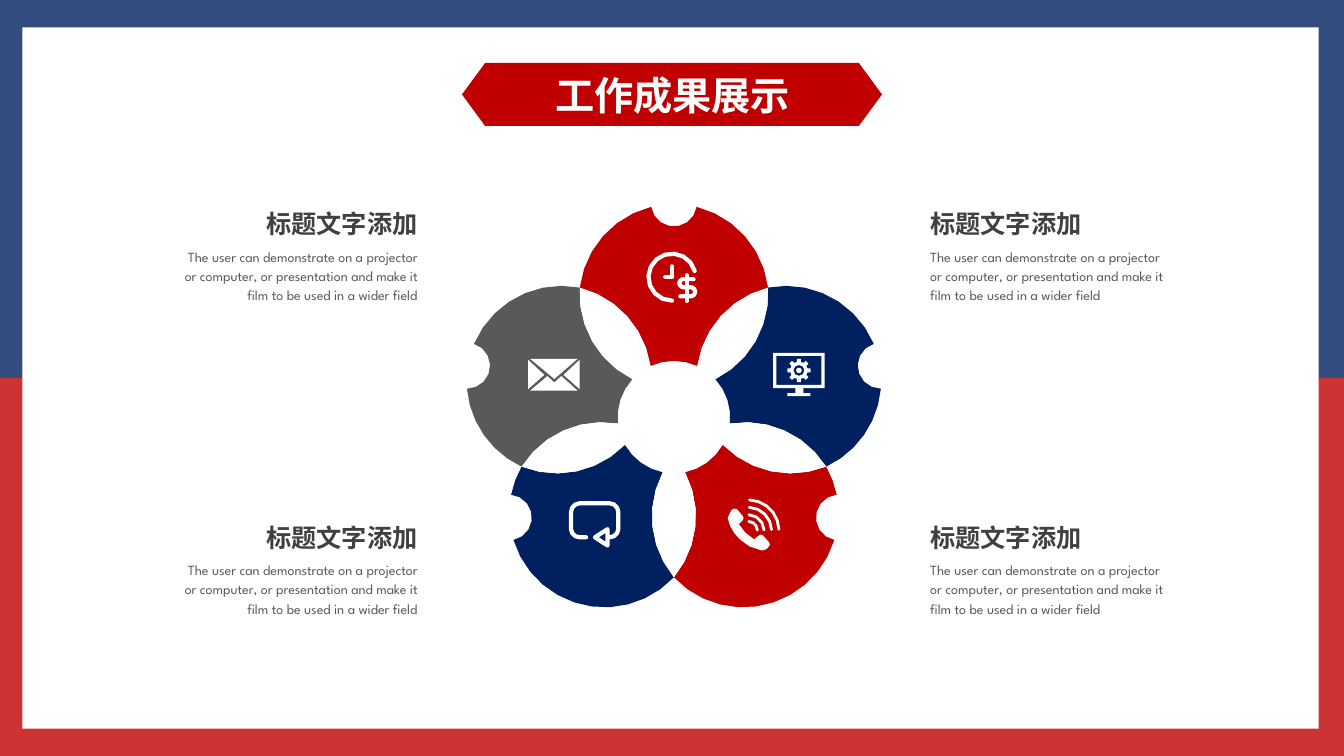
from dataclasses import dataclass
from itertools import groupby
from math import acos, asin, ceil, cos, hypot, radians, sin

from lxml import etree
from pptx import Presentation
from pptx.dml.color import RGBColor
from pptx.enum import shapes, text
from pptx.oxml.ns import qn
from pptx.util import Pt

Spot = tuple[float, float]
Path = list[Spot]


@dataclass(frozen=True)
class Theme:
    navy: str = "002060"
    red: str = "C00000"
    gray: str = "595959"
    dark: str = "404040"
    white: str = "FFFFFF"
    latin: str = "League Spartan"
    asian: str = "Noto Sans CJK SC"
    title: float = 28
    head: float = 18
    body: float = 10


@dataclass(frozen=True)
class Petal:
    color: str
    notch: float  # direction of the notch, degrees


@dataclass(frozen=True)
class Note:
    edge: float  # edge of the text next to the flower
    top: float
    right: bool  # right-aligned, to the left of the flower


T = Theme()
HEAD = "标题文字添加"
BODY = ("The user can demonstrate on a projector or computer, or presentation "
        "and make it film to be used in a wider field")
HUB: Spot = (481.4, 298)
REACH, ROUND, BITE, CORE = 84.2, 68, 16.4, 40.2  # petal offset, three radii
JOINT, CORNER = 114.4, 24.5  # where petals meet; half angle at the core
SLACK = 0.35  # largest gap between an arc and its chords

PETALS = [Petal(T.red, -90), Petal(T.navy, -9), Petal(T.red, 3),
          Petal(T.navy, 177), Petal(T.gray, 189)]
NOTES = [Note(657.4, 145.4, False), Note(657.4, 369.4, False),
         Note(305.3, 145.4, True), Note(305.3, 369.4, True)]

prs = Presentation()
prs.slide_width, prs.slide_height = Pt(960), Pt(540)
slide = prs.slides.add_slide(prs.slide_layouts[5])


# Geometry
def polar(mid: Spot, r: float, deg: float) -> Spot:
    return mid[0] + r * cos(radians(deg)), mid[1] + r * sin(radians(deg))


def steps(r: float, angle: float) -> int:
    return ceil(abs(angle) / 2 / acos(1 - SLACK / abs(r)))


def sweep(mid: Spot, r: float, start: float, end: float) -> Path:
    n = steps(r, radians(end - start))
    return [polar(mid, r, start + (end - start) * k / n) for k in range(n + 1)]


def bow(a: Spot, b: Spot, r: float) -> Path:
    """Arc from a to b; it swells to the left if r > 0, else to the right."""
    dx, dy = b[0] - a[0], b[1] - a[1]
    size = hypot(dx, dy)
    half = asin(size / 2 / r)
    n = steps(r, 2 * half)
    path = []
    for k in range(n + 1):
        turn = half * (2 * k / n - 1)
        run, out = r * sin(turn) / size, r * (cos(turn) - cos(half)) / size
        path.append(((a[0] + b[0]) / 2 + run * dx + out * dy,
                     (a[1] + b[1]) / 2 + run * dy - out * dx))
    return path


def box(x1: float, y1: float, x2: float, y2: float) -> Path:
    return [(x1, y1), (x2, y1), (x2, y2), (x1, y2)]


# Drawing
def paint(shape, color: str, alpha: int = 100) -> None:
    shape.shadow.inherit = False
    shape.fill.solid()
    shape.fill.fore_color.rgb = RGBColor.from_string(color)
    shape.line.fill.background()
    if alpha < 100:
        tint = shape.fill._xPr.find(qn("a:solidFill"))[0]
        etree.SubElement(tint, qn("a:alpha"), val=str(alpha * 1000))


def rect(x: float, y: float, w: float, h: float, color: str, alpha: int = 100) -> None:
    paint(slide.shapes.add_shape(shapes.MSO_SHAPE.RECTANGLE,
                                 Pt(x), Pt(y), Pt(w), Pt(h)), color, alpha)


def trace(paths: list[Path], close: bool = True):
    fine = [[spot for spot, _ in groupby((round(x * 100), round(y * 100)) for x, y in path)]
            for path in paths]
    pen = slide.shapes.build_freeform(*fine[0][0], scale=Pt(1) / 100)
    for k, path in enumerate(fine):
        if k:
            pen.move_to(*path[0])
        pen.add_line_segments(path[1:], close=close)
    return pen.convert_to_shape()


def solid(color: str, *paths: Path) -> None:
    paint(trace(list(paths)), color)


def stroke(width: float, *paths: Path) -> None:
    shape = trace(list(paths), close=False)
    shape.shadow.inherit = False
    shape.fill.background()
    shape.line.color.rgb = RGBColor.from_string(T.white)
    shape.line.width = Pt(width)
    line = shape.line._ln
    line.set("cap", "rnd")
    etree.SubElement(line, qn("a:round"))


def style(para, size: float, color: str, bold: bool, latin: str) -> None:
    font = para.font
    font.size, font.bold, font.name = Pt(size), bold, latin
    font.color.rgb = RGBColor.from_string(color)
    etree.SubElement(font._element, qn("a:ea"), typeface=T.asian)


def label(note: Note, drop: float, w: float, h: float, words: str,
          size: float, color: str, bold: bool, gap: float) -> None:
    left = note.edge - w if note.right else note.edge
    frame = slide.shapes.add_textbox(Pt(left), Pt(note.top + drop), Pt(w), Pt(h)).text_frame
    frame.word_wrap = True
    para = frame.paragraphs[0]
    para.text, para.line_spacing = words, gap
    para.alignment = text.PP_ALIGN.RIGHT if note.right else text.PP_ALIGN.LEFT
    style(para, size, color, bold, T.latin)


# Frame
rect(0, 0, 960, 270, T.navy, 80)
rect(0, 270, 960, 270, T.red, 80)
rect(16, 19.5, 926, 501, T.white)

# Flower: petals, then the lenses between them
for k, petal in enumerate(PETALS):
    axis = 72 * k - 90
    mid = polar(HUB, REACH, axis)
    first, last = (polar(HUB, JOINT, axis + d) for d in (-36, 36))
    bite, rise = (polar(mid, ROUND, petal.notch + d) for d in (-13.8, 13.8))
    near, far = (polar(HUB, CORE, axis + d) for d in (-CORNER, CORNER))
    solid(petal.color, bow(first, bite, ROUND) + bow(bite, rise, -BITE)
          + bow(rise, last, ROUND) + bow(last, far, -ROUND)
          + bow(far, near, -CORE) + bow(near, first, -ROUND))
for k in range(len(PETALS)):
    axis = 72 * k - 54
    tip = polar(HUB, JOINT, axis)
    one, two = (polar(HUB, CORE, axis + d) for d in (CORNER - 36, 36 - CORNER))
    solid(T.white, bow(tip, two, ROUND) + bow(two, one, -CORE) + bow(one, tip, ROUND))

# Clock and dollar sign
stroke(3, sweep((480, 198), 16.8, 90, 345),
       [(480.2, 190.3), (480.2, 198), (475.2, 198)],
       [(490.7, 196.6), (490.7, 215)],
       [(495.4, 199.4)] + bow((487.4, 199.4), (487.4, 205.2), -3)
       + bow((493.9, 205.2), (493.9, 211.7), 3.3) + [(486, 211.7)])

# Envelope
solid(T.white, [(378.7, 256.3), (412.6, 256.3), (396, 270.7)],
      [(377.3, 257), (388.8, 267.8), (377.3, 277.9)],
      [(414, 257), (414, 277.9), (402.5, 267.8)],
      [(391, 268.6), (396, 273.2), (401, 268.6), (412.6, 279), (378.7, 279)])

# Monitor with gear
COG: Spot = (570.7, 264.6)
teeth = [polar(COG, r, 45 * k + d) for k in range(8)
         for r, d in ((6.2, -14), (8.4, -9), (8.4, 9), (6.2, 14))]
solid(T.white, box(552.3, 252, 589.1, 277.2), box(554.6, 254.2, 586.8, 275),
      box(568.1, 277.2, 573.8, 280.8), box(562.5, 280.8, 578.9, 283),
      teeth, sweep(COG, 3.9, 0, 360), sweep(COG, 2.1, 0, 360))

# Telephone with sound waves
solid(T.white, bow((522.3, 364.6), (526.5, 363.7), 3) + bow((530.6, 368.6), (530.6, 371.5), 2)
      + bow((527.8, 374.4), (538.6, 385.2), -30) + bow((541.6, 382.9), (545, 382.3), 2.5)
      + bow((549.4, 387.4), (549.4, 390.2), 2) + bow((547.9, 391.9), (544, 393.1), 6)
      + bow((544, 393.1), (528.5, 385.2), 28) + bow((528.5, 385.2), (519.8, 370), 28))
stroke(2, *(sweep((534.6, 378.9), r, -88, -2) for r in (6.4, 11.2, 16.5, 21.8)))

# Speech bubble
stroke(3, [(418.7, 383.8)] + bow((414, 383.8), (407.9, 378), 6.1)
       + bow((407.9, 365.8), (414, 359.5), 6.3) + bow((435.6, 359.5), (441.7, 365.8), 6.3)
       + bow((441.7, 378), (435.6, 383.8), 6.1),
       [(434, 378), (425, 383.8), (434, 389.7), (434, 378)])

# Notes
for note in NOTES:
    label(note, 0, 168, 29, HEAD, T.head, T.dark, True, 1.0)
    label(note, 26.7, 185, 62.6, BODY, T.body, T.gray, False, 1.14)

# Title on its banner
solid(T.red, [(346.5, 45), (613.5, 45), (630, 67.5), (613.5, 90), (346.5, 90), (330, 67.5)])
title = slide.shapes.title
slide.shapes._spTree.append(title._element)
title.left, title.top, title.width, title.height = Pt(388), Pt(47), Pt(185), Pt(41)
frame = title.text_frame
frame.text = "工作成果展示"
frame.word_wrap, frame.auto_size = False, text.MSO_AUTO_SIZE.NONE
frame.vertical_anchor = text.MSO_ANCHOR.MIDDLE
frame.paragraphs[0].alignment = text.PP_ALIGN.CENTER
style(frame.paragraphs[0], T.title, T.white, True, T.asian)

prs.save("out.pptx")
